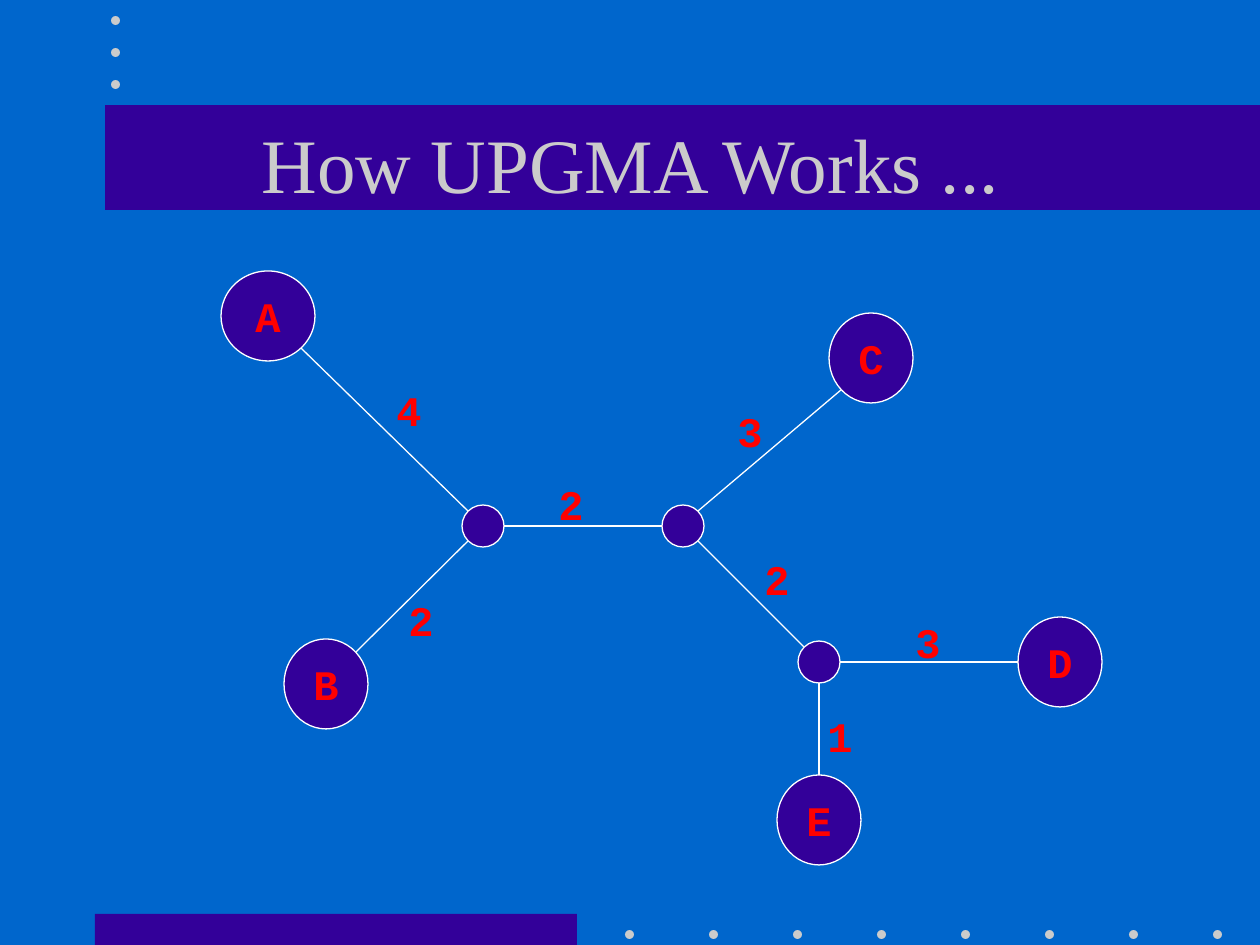
from dataclasses import dataclass
from math import sqrt

from lxml.etree import SubElement
from pptx import Presentation
from pptx.dml.color import RGBColor
from pptx.enum.shapes import MSO_CONNECTOR, MSO_SHAPE
from pptx.enum.text import MSO_ANCHOR, PP_ALIGN
from pptx.oxml.ns import qn
from pptx.shapes.autoshape import Shape
from pptx.slide import Slide
from pptx.util import Emu, Pt

BLUE = RGBColor(0x00, 0x66, 0xCC)
INDIGO = RGBColor(0x33, 0x00, 0x99)
SILVER = RGBColor(0xCB, 0xCB, 0xCB)
WHITE = RGBColor(0xFF, 0xFF, 0xFF)
RED = RGBColor(0xFF, 0x00, 0x00)

DOT_SIZE = 9
LABEL_WIDTH, LABEL_HEIGHT = 50, 63
NORTH, SOUTH, EAST, WEST = (0, -1), (0, 1), (1, 0), (-1, 0)
NORTHEAST, SOUTHEAST, SOUTHWEST, NORTHWEST = (1, -1), (1, 1), (-1, 1), (-1, -1)


@dataclass(frozen=True)
class Node:
    """A circle of the tree, with a letter when it is a leaf."""
    left: int
    top: int
    width: int = 84
    height: int = 90
    letter: str = ""

    def rim(self, direction: tuple[int, int]) -> tuple[int, int]:
        """Return the point of the outline in a compass direction."""
        across, down = direction
        length = sqrt(across ** 2 + down ** 2)
        return (round(self.left + self.width / 2 * (1 + across / length)),
                round(self.top + self.height / 2 * (1 + down / length)))


@dataclass(frozen=True)
class Branch:
    """A line between two nodes and the place of its distance label."""
    start: str
    start_side: tuple[int, int]
    end: str
    end_side: tuple[int, int]
    distance: str
    label_left: int
    label_top: int


NODES = {
    "A": Node(221, 271, width=94, letter="A"),
    "B": Node(284, 639, letter="B"),
    "C": Node(829, 313, letter="C"),
    "D": Node(1018, 617, letter="D"),
    "E": Node(777, 775, letter="E"),
    "AB": Node(462, 505, 42, 42),
    "CDE": Node(662, 505, 42, 42),
    "DE": Node(798, 641, 42, 42),
}
BRANCHES = [
    Branch("A", SOUTHEAST, "AB", NORTHWEST, "4", 384, 378),
    Branch("B", NORTHEAST, "AB", SOUTHWEST, "2", 396, 588),
    Branch("AB", EAST, "CDE", WEST, "2", 546, 472),
    Branch("CDE", NORTHEAST, "C", SOUTHWEST, "3", 725, 399),
    Branch("CDE", SOUTHEAST, "DE", NORTHWEST, "2", 752, 547),
    Branch("DE", EAST, "D", WEST, "3", 903, 610),
    Branch("DE", SOUTH, "E", NORTH, "1", 815, 704),
]


def px(length: int) -> Emu:
    """Turn pixels at 126 to the inch into EMU."""
    return Emu(round(length * 914400 / 126))


def write(shape: Shape, text: str, font_name: str, size: int,
          color: RGBColor, bold: bool = False) -> None:
    """Set centred text in one style."""
    frame = shape.text_frame
    frame.text = text
    frame.vertical_anchor = MSO_ANCHOR.MIDDLE
    paragraph = frame.paragraphs[0]
    paragraph.alignment = PP_ALIGN.CENTER
    font = paragraph.runs[0].font
    font.name, font.size, font.bold = font_name, Pt(size), bold
    font.color.rgb = color


def add_filled(slide: Slide, kind: MSO_SHAPE, left: int, top: int,
               width: int, height: int, fill: RGBColor) -> Shape:
    """Add a plain shape without outline or shadow."""
    shape = slide.shapes.add_shape(kind, px(left), px(top), px(width), px(height))
    shape.shadow.inherit = False
    shape.fill.solid()
    shape.fill.fore_color.rgb = fill
    shape.line.fill.background()
    return shape


def add_decoration(slide: Slide) -> None:
    """Add the two bands and the two rows of dots."""
    add_filled(slide, MSO_SHAPE.RECTANGLE, 95, 914, 482, 31, INDIGO)
    add_filled(slide, MSO_SHAPE.RECTANGLE, 105, 105, 1155, 105, INDIGO)
    bottom_dots = [(625 + 84 * step, 930) for step in range(8)]
    side_dots = [(111, 16 + 32 * step) for step in range(3)]
    for left, top in bottom_dots + side_dots:
        add_filled(slide, MSO_SHAPE.OVAL, left, top, DOT_SIZE, DOT_SIZE, SILVER)


def add_title(slide: Slide, text: str) -> None:
    """Place the title over the top band."""
    title = slide.shapes.title
    title.left, title.top, title.width, title.height = px(95), px(84), px(1071), px(158)
    write(title, text, "Times New Roman", 44, SILVER)
    title._element.getparent().append(title._element)


def add_node(slide: Slide, node: Node) -> None:
    """Add a circle of the tree."""
    shape = add_filled(slide, MSO_SHAPE.FLOWCHART_CONNECTOR, node.left, node.top,
                       node.width, node.height, INDIGO)
    shape.line.color.rgb = WHITE
    shape.line.width = Pt(0.75)
    if node.letter:
        write(shape, node.letter, "Courier New", 24, RED, bold=True)


def add_branch(slide: Slide, branch: Branch) -> None:
    """Add a line of the tree and its distance."""
    start = NODES[branch.start].rim(branch.start_side)
    end = NODES[branch.end].rim(branch.end_side)
    line = slide.shapes.add_connector(MSO_CONNECTOR.STRAIGHT,
                                      *(px(value) for value in start + end))
    line.line.color.rgb = WHITE
    line.line.width = Pt(0.75)
    SubElement(line._element.spPr, qn("a:effectLst"))
    label = slide.shapes.add_textbox(px(branch.label_left), px(branch.label_top),
                                     px(LABEL_WIDTH), px(LABEL_HEIGHT))
    label.text_frame.word_wrap = False
    write(label, branch.distance, "Courier New", 24, RED, bold=True)


def main() -> None:
    """Build the slide and save it."""
    presentation = Presentation()
    presentation.slide_width, presentation.slide_height = px(1260), px(945)
    slide = presentation.slides.add_slide(presentation.slide_layouts[5])
    slide.background.fill.solid()
    slide.background.fill.fore_color.rgb = BLUE
    add_decoration(slide)
    add_title(slide, "How UPGMA Works ...")
    for node in NODES.values():
        add_node(slide, node)
    for branch in BRANCHES:
        add_branch(slide, branch)
    presentation.save("out.pptx")


if __name__ == "__main__":
    main()
